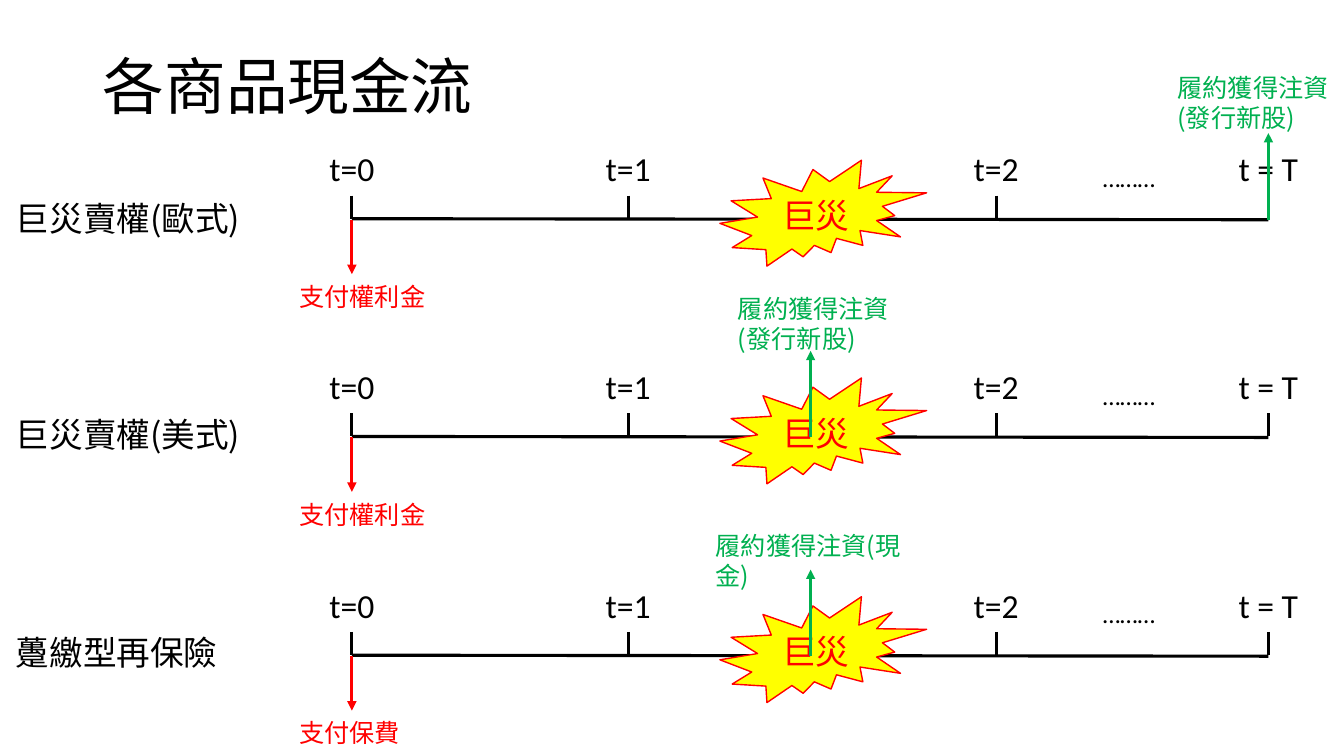
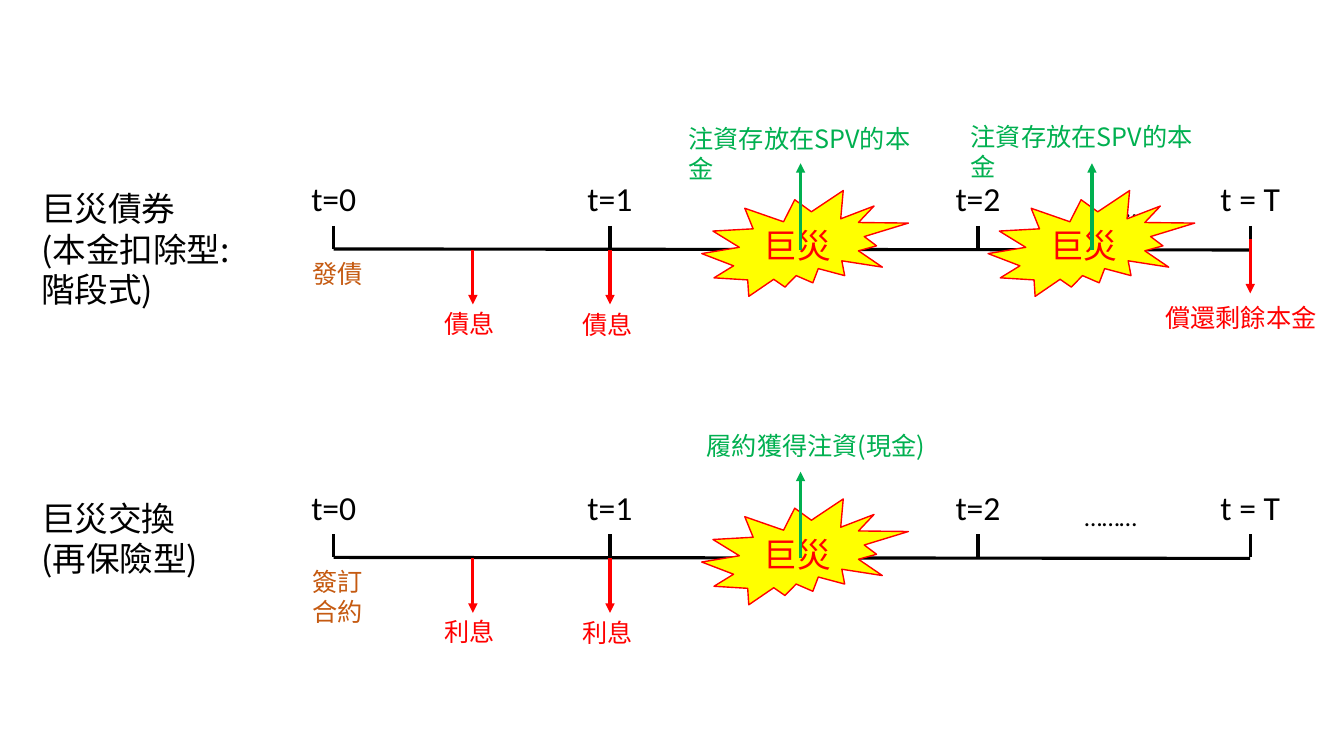
from lxml.etree import SubElement
from pptx import Presentation
from pptx.dml.color import RGBColor
from pptx.enum.shapes import MSO_CONNECTOR, MSO_SHAPE
from pptx.enum.text import MSO_ANCHOR, MSO_AUTO_SIZE, PP_ALIGN
from pptx.oxml.ns import qn
from pptx.util import Inches, Pt

CJK, LATIN = "Noto Sans CJK SC", "Calibri"
BLACK, RED, GREEN, BROWN, YELLOW = "000000", "FF0000", "00B050", "C55A11", "FFFF00"

TICKS = [("t=0", 0, 0.68), ("t=1", 2.74, 0.68), ("t=2", 6.39, 0.68), ("t = T", 9.09, 0.96)]
AXIS_END = TICKS[-1][1]
TICK_H = 0.23
SEAL_W, SEAL_H = 2.05, 1.05
FIRST_SEAL, SECOND_SEAL = 3.65, 6.49
DOWN, UP = (0.01, 0.55), (0.01, -0.85)


def payment(text, dx, label_dx, label_dy, width, span=DOWN):
    return dict(text=text, dx=dx, span=span, color=RED, at=(label_dx, label_dy, width))


def receipt(text, dx, label_dx, label_dy, width):
    return dict(text=text, dx=dx, span=UP, color=GREEN, at=(label_dx, label_dy, width))


def event(text):
    return dict(text=text, dx=0, span=None, color=BROWN, at=(-0.31, 0.04, 0.75))


def interest(text):
    return [payment(text, 1.38, 1, 0.54, 0.75), payment(text, 2.74, 2.37, 0.55, 0.75)]


SLIDES = [
    dict(title="各商品現金流", x=3.49, name_x=0.06, name_w=2.51, rows=[
        dict(name="巨災賣權(歐式)", name_y=1.91, y=2.17, seals=[FIRST_SEAL], flows=[
            payment("支付權利金", 0, -0.62, 0.57, 1.49),
            receipt("履約獲得注資\n(發行新股)", AXIS_END, 8.09, -1.5, 1.76)]),
        dict(name="巨災賣權(美式)", name_y=4.06, y=4.33, seals=[FIRST_SEAL], flows=[
            payment("支付權利金", 0, -0.62, 0.57, 1.49),
            receipt("履約獲得注資\n(發行新股)", 4.55, 3.73, -1.47, 1.75)]),
        dict(name="躉繳型再保險", name_y=6.22, y=6.5, seals=[FIRST_SEAL], flows=[
            payment("支付保費", 0, -0.62, 0.57, 1.49),
            receipt("履約獲得注資(現金)", 4.55, 3.51, -1.29, 2.33)]),
    ]),
    dict(title=None, x=3.31, name_x=0.31, name_w=2.28, rows=[
        dict(name="巨災債券\n(本金扣除型:\n階段式)", name_y=1.82, y=2.47,
             seals=[FIRST_SEAL, SECOND_SEAL], flows=[
                 event("發債"), *interest("債息"),
                 receipt("注資存放在SPV的本金", 4.63, 3.42, -1.3, 2.59),
                 receipt("注資存放在SPV的本金", 7.52, 6.22, -1.32, 2.59),
                 payment("償還剩餘本金", AXIS_END, 8.15, 0.48, 1.76, span=(-0.1, 0.44))]),
        dict(name="巨災交換\n(再保險型)", name_y=4.89, y=5.53, seals=[FIRST_SEAL], flows=[
            event("簽訂合約"), *interest("利息"),
            receipt("履約獲得注資(現金)", 4.63, 3.6, -1.31, 2.38)]),
    ]),
]


def rgb(color):
    return RGBColor.from_string(color)


def write(tf, text, size=18, color=BLACK, font=CJK, align=PP_ALIGN.LEFT, spacing=None):
    tf.word_wrap = True
    for i, line in enumerate(text.split("\n")):
        p = tf.paragraphs[0] if i == 0 else tf.add_paragraph()
        p.alignment = align
        p.line_spacing = spacing
        r = p.add_run()
        r.text = line
        r.font.size = Pt(size)
        r.font.name = font
        r.font.color.rgb = rgb(color)
        SubElement(r.font._element, qn("a:ea"), typeface=font)


def add_label(shapes, text, x, y, w, h=0.4, **fmt):
    sp = shapes.add_textbox(Inches(x), Inches(y), Inches(w), Inches(h))
    write(sp.text_frame, text, **fmt)
    sp.text_frame.auto_size = MSO_AUTO_SIZE.SHAPE_TO_FIT_TEXT


def add_line(shapes, x1, y1, x2, y2, color=BLACK, arrow=False):
    cx = shapes.add_connector(MSO_CONNECTOR.STRAIGHT, Inches(x1), Inches(y1), Inches(x2), Inches(y2))
    cx.line.color.rgb = rgb(color)
    cx.line.width = Pt(2.25)
    if arrow:
        SubElement(cx.line._get_or_add_ln(), qn("a:tailEnd"), type="triangle")
    SubElement(cx._element.spPr, qn("a:effectLst"))


def add_seal(shapes, x, y):
    sp = shapes.add_shape(MSO_SHAPE.EXPLOSION2, Inches(x), Inches(y), Inches(SEAL_W), Inches(SEAL_H))
    sp.shadow.inherit = False
    sp.fill.solid()
    sp.fill.fore_color.rgb = rgb(YELLOW)
    sp.line.color.rgb = rgb(RED)
    sp.line.width = Pt(1)
    sp.text_frame.vertical_anchor = MSO_ANCHOR.MIDDLE
    write(sp.text_frame, "巨災", size=24, color=RED, align=PP_ALIGN.CENTER)


def add_timeline(shapes, x, y, seals, flows):
    add_line(shapes, x, y, x + AXIS_END, y + 0.01)
    for text, dx, w in TICKS:
        add_line(shapes, x + dx, y - TICK_H, x + dx, y)
        add_label(shapes, text, x + dx - w / 2, y - 0.75, w, 0.5,
                  size=24, font=LATIN, align=PP_ALIGN.CENTER)
    add_label(shapes, "………", x + 7.35, y - 0.61, 0.96, font=LATIN)
    for dx in seals:
        add_seal(shapes, x + dx, y - 0.58)
    for flow in flows:
        if flow["span"]:
            start, end = flow["span"]
            fx = x + flow["dx"]
            add_line(shapes, fx, y + start, fx, y + end, flow["color"], arrow=True)
        dx, dy, w = flow["at"]
        add_label(shapes, flow["text"], x + dx, y + dy, w, color=flow["color"])


def add_title(slide, text):
    sp = slide.shapes.title
    sp.left, sp.top, sp.width, sp.height = Inches(0.92), Inches(0.4), Inches(11.5), Inches(0.97)
    sp.text_frame.vertical_anchor = MSO_ANCHOR.MIDDLE
    write(sp.text_frame, text, size=44, spacing=0.9)


def main():
    prs = Presentation()
    prs.slide_width, prs.slide_height = Inches(13.33), Inches(7.5)
    for page in SLIDES:
        s = prs.slides.add_slide(prs.slide_layouts[5 if page["title"] else 6])
        if page["title"]:
            add_title(s, page["title"])
        for row in page["rows"]:
            add_label(s.shapes, row["name"], page["name_x"], row["name_y"], page["name_w"], 0.5, size=24)
            group = s.shapes.add_group_shape()
            add_timeline(group.shapes, page["x"], row["y"], row["seals"], row["flows"])
    prs.save("out.pptx")


if __name__ == "__main__":
    main()
